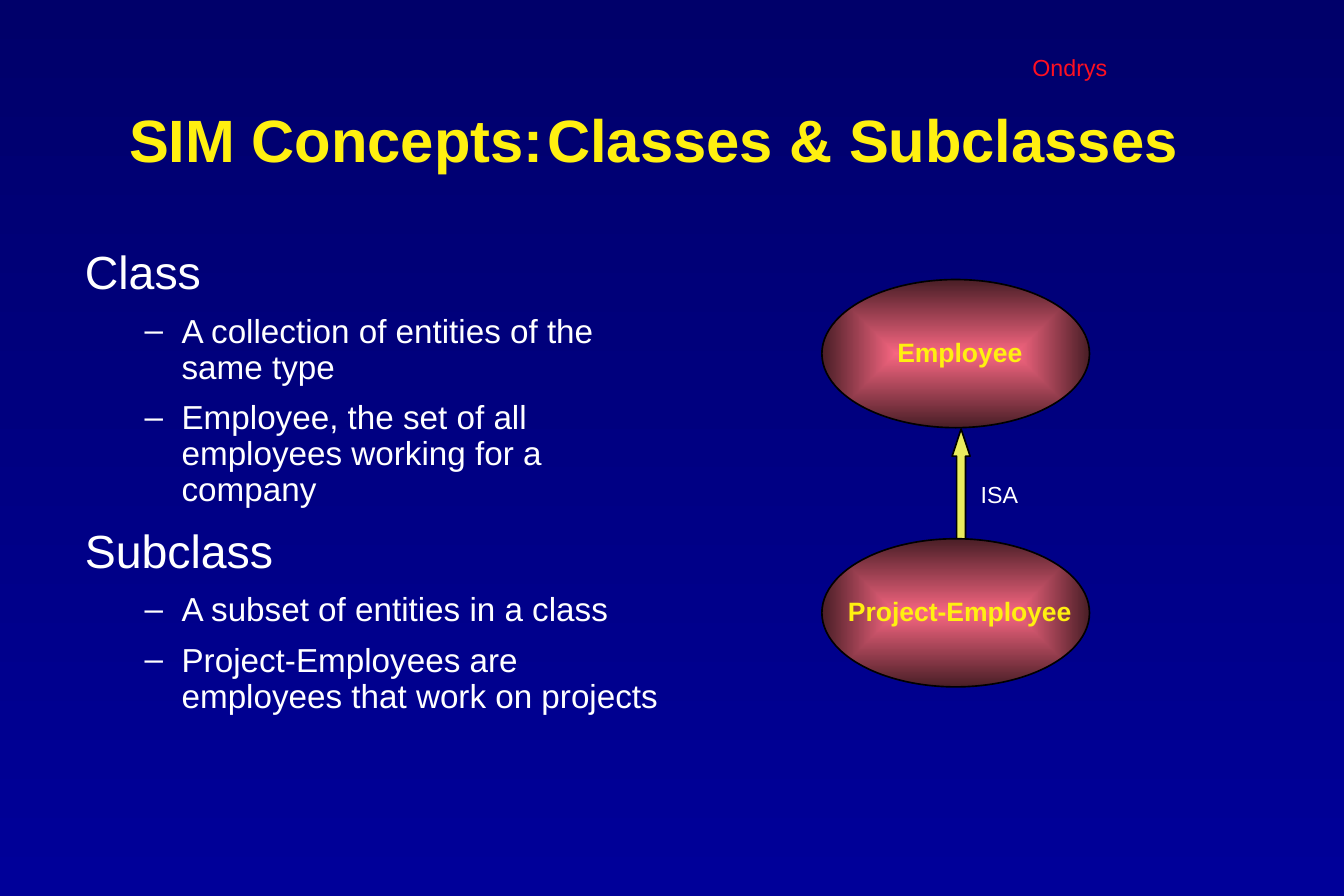
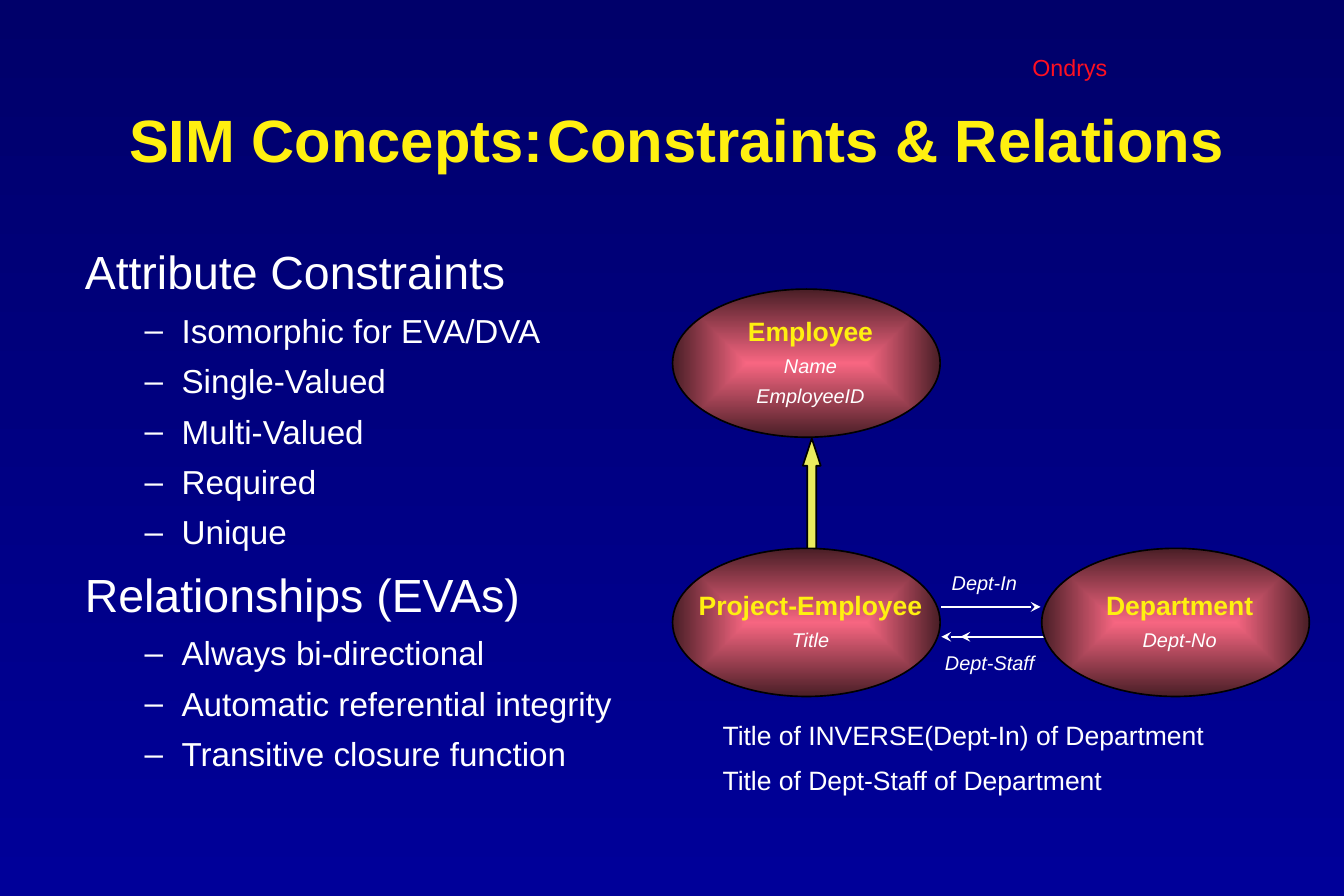
from dataclasses import dataclass

from lxml import etree
from pptx import Presentation
from pptx import util as u
from pptx.dml.color import RGBColor
from pptx.enum import shapes, text
from pptx.oxml import ns


@dataclass(frozen=True)
class Theme:
    font: str = "Arial"
    sky: tuple = ("00006A", "000099")
    glow: tuple = ("F76681", "491E26")
    yellow: str = "FFF010"
    white: str = "FFFFFF"
    red: str = "FF1020"
    arrow: str = "EAEC5E"
    black: str = "000000"
    title: int = 36
    heading: int = 28
    item: int = 20
    name: int = 16
    label: int = 14
    detail: int = 12


THEME = Theme()
COLUMNS, ROWS = 45, 30
CELL = u.Inches(0.25)
ELLIPSE = (8.96, 4.96)
LEVEL_STEP = 8.68
LEAD = 0.07


def grid(*lengths):
    return [round(length * CELL) for length in lengths]


def color(code):
    return RGBColor.from_string(code)


def add_xml(parent, tag, **attributes):
    return etree.SubElement(parent, ns.qn(tag), attributes)


def set_gradient(fill, codes):
    fill.gradient()
    for stop, position, code in zip(fill.gradient_stops, (0, 1), codes):
        stop.position = position
        stop.color.rgb = color(code)


def set_frame(box, anchor=text.MSO_ANCHOR.TOP, wrap=True, side=0.1):
    frame = box.text_frame
    frame.auto_size = text.MSO_AUTO_SIZE.NONE
    frame.word_wrap = wrap
    frame.vertical_anchor = anchor
    frame.margin_left = frame.margin_right = u.Inches(side)
    frame.margin_top = frame.margin_bottom = u.Inches(0.05)
    return frame


def add_para(frame, words, size, code, before=0, align=text.PP_ALIGN.LEFT,
             indent=(LEAD, 0), bullet=None, tab=None, bold=False, italic=False):
    first = not frame.paragraphs[0].runs
    para = frame.paragraphs[0] if first else frame.add_paragraph()
    properties = para._p.get_or_add_pPr()
    margin, hanging = indent
    properties.set("marL", str(u.Inches(margin)))
    properties.set("indent", str(u.Inches(hanging)))
    if bullet:
        para.level = 1
        bullet_color = add_xml(properties, "a:buClr")
        add_xml(bullet_color, "a:srgbClr", val=code)
        add_xml(properties, "a:buChar", char=bullet)
    else:
        add_xml(properties, "a:buNone")
    if tab:
        tabs = add_xml(properties, "a:tabLst")
        add_xml(tabs, "a:tab", pos=str(u.Inches(tab)), algn="l")
    para.alignment = align
    para.line_spacing = 0.9
    para.space_before = u.Pt(0 if first else before)
    span = para.add_run()
    span.text = words
    font = span.font
    font.name, font.size = THEME.font, u.Pt(size)
    font.bold, font.italic = bold, italic
    font.color.rgb = color(code)


def place(box, *cells):
    box.left, box.top, box.width, box.height = grid(*cells)


def add_title(page, words):
    box = page.shapes.title
    place(box, 4.32, 3, 39.12, 3.6)
    frame = set_frame(box, text.MSO_ANCHOR.MIDDLE, side=0)
    add_para(frame, words, THEME.title, THEME.yellow, indent=(0, 0),
             tab=3.99, bold=True)


def add_outline(page, width, sections):
    box = page.placeholders[1]
    place(box, 2.16, 8.16, width, 18.48)
    frame = set_frame(box)
    for heading, items in sections:
        add_para(frame, heading, THEME.heading, THEME.white, before=12.2)
        for item in items:
            add_para(frame, item, THEME.item, THEME.white, before=8.8,
                     indent=(0.88, -0.31), bullet="–")


def add_label(page, cells, words, size=THEME.label, code=THEME.white, italic=False):
    box = page.shapes.add_textbox(*grid(*cells))
    add_para(set_frame(box, wrap=False), words, size, code,
             align=text.PP_ALIGN.CENTER, italic=italic)
    return box


def add_notes(page, cells, lines):
    frame = set_frame(page.shapes.add_textbox(*grid(*cells)))
    for line in lines:
        add_para(frame, line, THEME.name, THEME.white, before=10)


def set_outline(shape):
    shape.shadow.inherit = False
    shape.line.color.rgb = color(THEME.black)
    shape.line.width = u.Pt(1)


def add_entity(page, column, row, name, attributes=()):
    shape = page.shapes.add_shape(shapes.MSO_SHAPE.OVAL, *grid(column, row, *ELLIPSE))
    set_gradient(shape.fill, THEME.glow)
    gradient = shape.element.spPr.find(ns.qn("a:gradFill"))
    gradient.remove(gradient.find(ns.qn("a:lin")))
    shade = add_xml(gradient, "a:path", path="rect")
    add_xml(shade, "a:fillToRect", l="50000", t="50000", r="50000", b="50000")
    set_outline(shape)
    frame = set_frame(shape, text.MSO_ANCHOR.MIDDLE, wrap=False)
    center = text.PP_ALIGN.CENTER
    add_para(frame, name, THEME.name, THEME.yellow, align=center, bold=True)
    for attribute in attributes:
        add_para(frame, attribute, THEME.detail, THEME.white, before=5.2,
                 align=center, italic=True)


def add_hierarchy(page, column, row, parent, child):
    arrow = page.shapes.add_shape(
        shapes.MSO_SHAPE.UP_ARROW, *grid(column + 4.36, row + 5, 0.6, 3.96))
    arrow.adjustments[0], arrow.adjustments[1] = 0.5, 1.52
    arrow.fill.solid()
    arrow.fill.fore_color.rgb = color(THEME.arrow)
    set_outline(arrow)
    add_entity(page, column, row, *parent)
    add_entity(page, column, row + LEVEL_STEP, *child)


def add_relation(page, start, end, row):
    line = page.shapes.add_connector(
        shapes.MSO_CONNECTOR.STRAIGHT, *grid(start, row, end, row))
    line.line.color.rgb = color(THEME.white)
    line.line.width = u.Pt(1)
    add_xml(line.line._get_or_add_ln(), "a:tailEnd", type="stealth")
    add_xml(line.element.spPr, "a:effectLst")


def add_page(deck, title, width, sections):
    page = deck.slides.add_slide(deck.slide_layouts[1])
    add_title(page, title)
    add_outline(page, width, sections)
    return page


def style_master(deck, page):
    master = deck.slide_master
    fill = master.background.fill
    set_gradient(fill, THEME.sky)
    fill.gradient_angle = 270
    mark = add_label(page, (32.84, 1.68, 5.68, 1.24), "Ondrys", code=THEME.red)
    master.shapes.element.append(mark.element)


def add_classes(deck):
    page = add_page(deck, "SIM Concepts:\tClasses & Subclasses", 20.68, [
        ("Class", ["A collection of entities of the same type",
                   "Employee, the set of all employees working for a company"]),
        ("Subclass", ["A subset of entities in a class",
                      "Project-Employees are employees that work on projects"]),
    ])
    add_hierarchy(page, 27.52, 9.36, ("Employee",), ("Project-Employee",))
    add_label(page, (32.16, 16, 2.32, 1.24), "ISA")
    return page


def add_constraints(deck):
    page = add_page(deck, "SIM Concepts:\tConstraints & Relations", 41.32, [
        ("Attribute Constraints", ["Isomorphic for EVA/DVA", "Single-Valued",
                                   "Multi-Valued", "Required", "Unique"]),
        ("Relationships (EVAs)", ["Always bi-directional",
                                  "Automatic referential integrity",
                                  "Transitive closure function"]),
    ])
    add_relation(page, 35.52, 32.16, 21.32)
    top = 9.68
    add_hierarchy(page, 22.52, top, ("Employee", ["Name", "EmployeeID"]),
                  ("Project-Employee", ["Title"]))
    add_entity(page, 34.88, top + LEVEL_STEP, "Department", ["Dept-No"])
    add_relation(page, 31.52, 34.84, 20.32)
    add_relation(page, 34.84, 31.52, 21.32)
    for cells, words in (((31.16, 19, 3.32, 1.12), "Dept-In"),
                         ((30.84, 21.68, 4.32, 1.12), "Dept-Staff")):
        add_label(page, cells, words, THEME.detail, italic=True)
    add_notes(page, (23.52, 24, 20.32, 2.88),
              ["Title of INVERSE(Dept-In) of Department",
               "Title of Dept-Staff of Department"])


def main():
    deck = Presentation()
    deck.slide_width, deck.slide_height = grid(COLUMNS, ROWS)
    style_master(deck, add_classes(deck))
    add_constraints(deck)
    deck.save("out.pptx")


if __name__ == "__main__":
    main()
